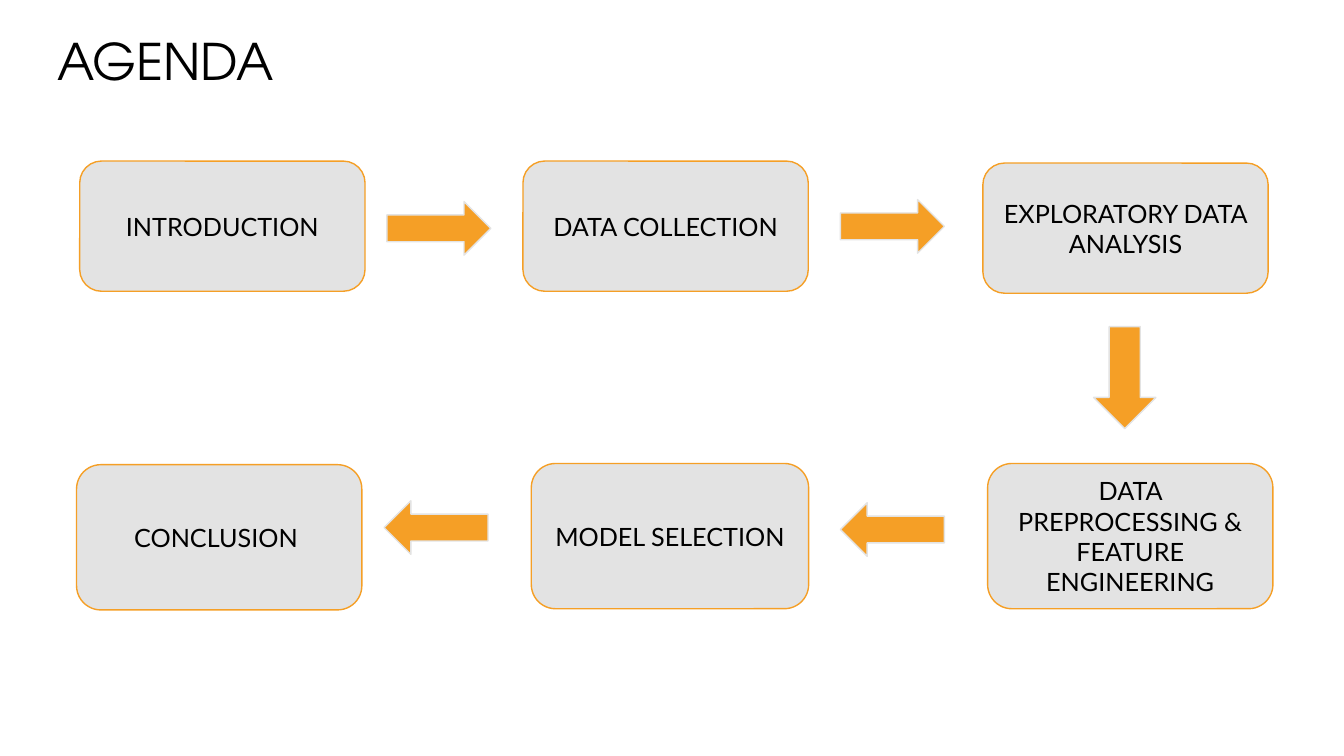
from pptx import Presentation
from pptx.dml.color import RGBColor
from pptx.enum.shapes import MSO_SHAPE
from pptx.enum.text import MSO_ANCHOR, PP_ALIGN
from pptx.util import Cm, Pt

ROUNDED = MSO_SHAPE.ROUNDED_RECTANGLE
RIGHT, DOWN, LEFT = MSO_SHAPE.RIGHT_ARROW, MSO_SHAPE.DOWN_ARROW, MSO_SHAPE.LEFT_ARROW
MIDDLE = MSO_ANCHOR.MIDDLE
CENTER, START = PP_ALIGN.CENTER, PP_ALIGN.LEFT

COLORS = {"text": "000000", "card": "E3E3E3", "accent": "F59F26"}
TITLE_FONT, BODY_FONT = "TeX Gyre Adventor", "Lato"

CARD_WIDTH = 7.19
TOP_HEIGHT, BOTTOM_HEIGHT = 3.28, 3.66
ARROW_LENGTH, ARROW_THICKNESS = 2.62, 1.35

# Label, left, top, width, height in centimetres
TOPICS = [
    ("INTRODUCTION", 2.01, 4.06, CARD_WIDTH, TOP_HEIGHT),
    ("DATA COLLECTION", 13.18, 4.06, CARD_WIDTH, TOP_HEIGHT),
    ("EXPLORATORY DATA ANALYSIS", 24.77, 4.11, CARD_WIDTH, TOP_HEIGHT),
    ("DATA PREPROCESSING & FEATURE ENGINEERING", 24.89, 11.68, CARD_WIDTH, BOTTOM_HEIGHT),
    ("MODEL SELECTION", 13.39, 11.68, 6.99, BOTTOM_HEIGHT),
    ("CONCLUSION ", 1.93, 11.71, CARD_WIDTH, BOTTOM_HEIGHT),
]

# Direction, left, top, width, height in centimetres
STEPS = [
    (RIGHT, 9.75, 5.08, ARROW_LENGTH, ARROW_THICKNESS),
    (RIGHT, 21.18, 5.03, ARROW_LENGTH, ARROW_THICKNESS),
    (DOWN, 27.56, 8.23, 1.57, 2.57),
    (LEFT, 21.18, 12.67, ARROW_LENGTH, ARROW_THICKNESS),
    (LEFT, 9.68, 12.62, ARROW_LENGTH, ARROW_THICKNESS),
]


def color(name):
    return RGBColor.from_string(COLORS[name])


class AgendaSlide:
    """Holds the slide and draws its elements in one style."""

    def __init__(self, slide):
        self.shapes = slide.shapes

    def set_text(self, frame, text, font, size, align):
        frame.text = text
        frame.word_wrap = True
        frame.vertical_anchor = MIDDLE
        paragraph = frame.paragraphs[0]
        paragraph.alignment = align
        for run in paragraph.runs:
            run.font.name = font
            run.font.size = Pt(size)
            run.font.color.rgb = color("text")
        return paragraph

    def title(self, text, left, top, width, height):
        box = self.shapes.add_textbox(Cm(left), Cm(top), Cm(width), Cm(height))
        heading = self.set_text(box.text_frame, text, TITLE_FONT, 36, START)
        heading.line_spacing = 0.9

    def block(self, kind, left, top, width, height, fill, line):
        block = self.shapes.add_shape(kind, Cm(left), Cm(top), Cm(width), Cm(height))
        block.shadow.inherit = False
        block.fill.solid()
        block.fill.fore_color.rgb = color(fill)
        block.line.color.rgb = color(line)
        block.line.width = Pt(1)
        return block

    def card(self, label, left, top, width, height):
        card = self.block(ROUNDED, left, top, width, height, "card", "accent")
        self.set_text(card.text_frame, label, BODY_FONT, 18, CENTER)

    def arrow(self, direction, left, top, width, height):
        self.block(direction, left, top, width, height, "accent", "card")


def main():
    deck = Presentation()
    deck.slide_width, deck.slide_height = Cm(33.87), Cm(19.05)
    agenda = AgendaSlide(deck.slides.add_slide(deck.slide_layouts[6]))

    agenda.title("AGENDA", 1.19, 0.41, 29.21, 2.44)
    for topic in TOPICS:
        agenda.card(*topic)
    for step in STEPS:
        agenda.arrow(*step)

    deck.save("out.pptx")


if __name__ == "__main__":
    main()
